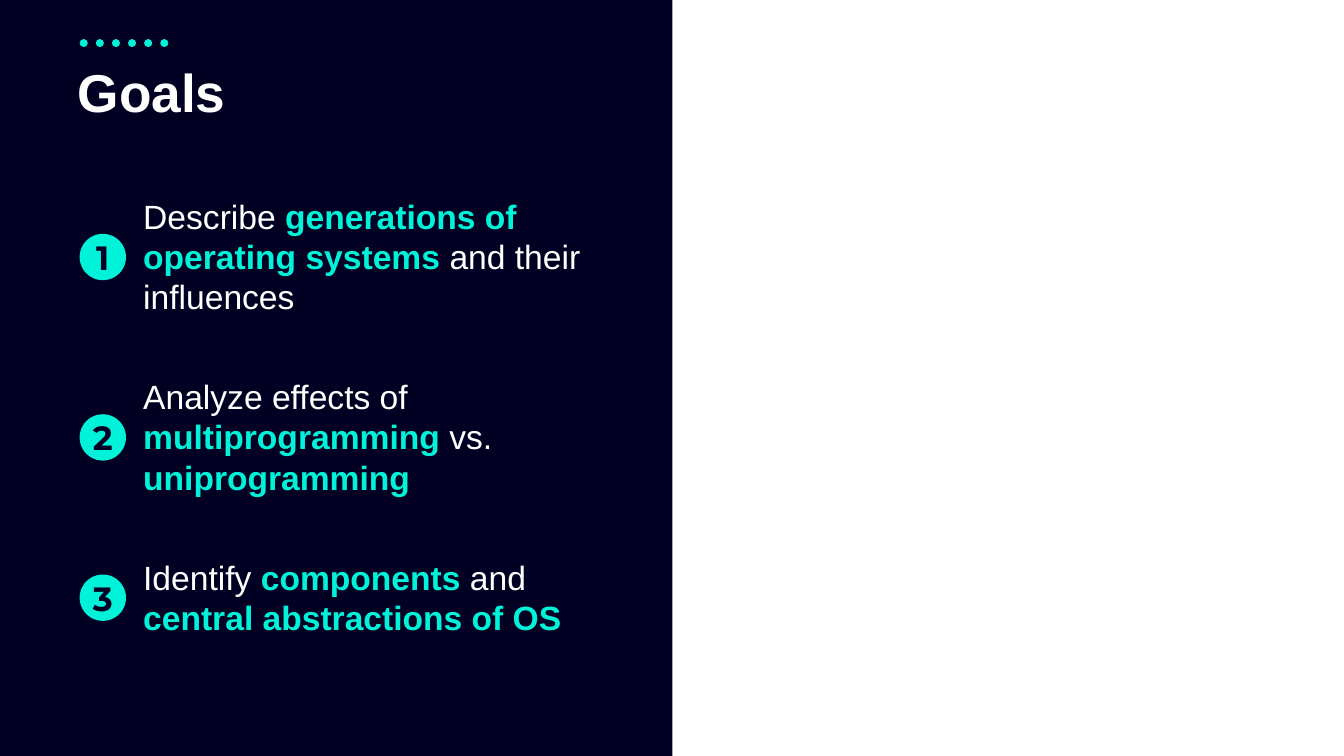
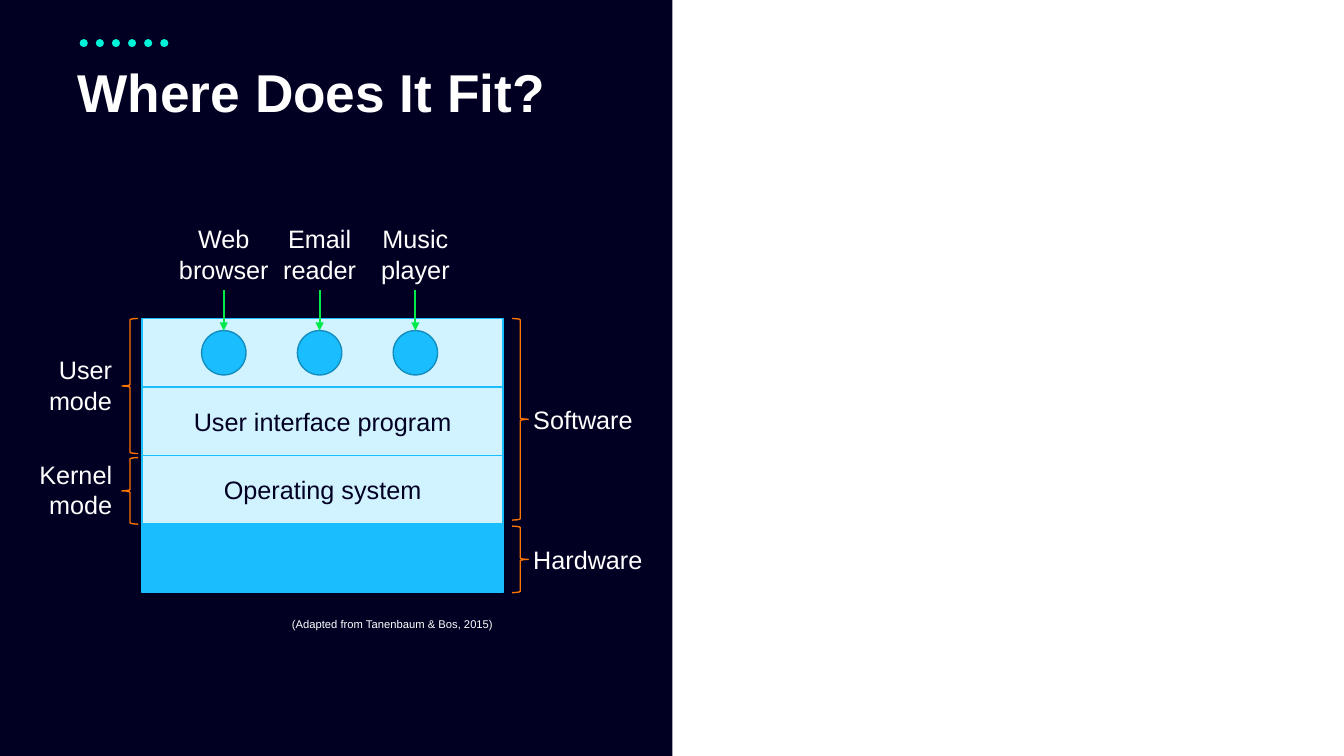
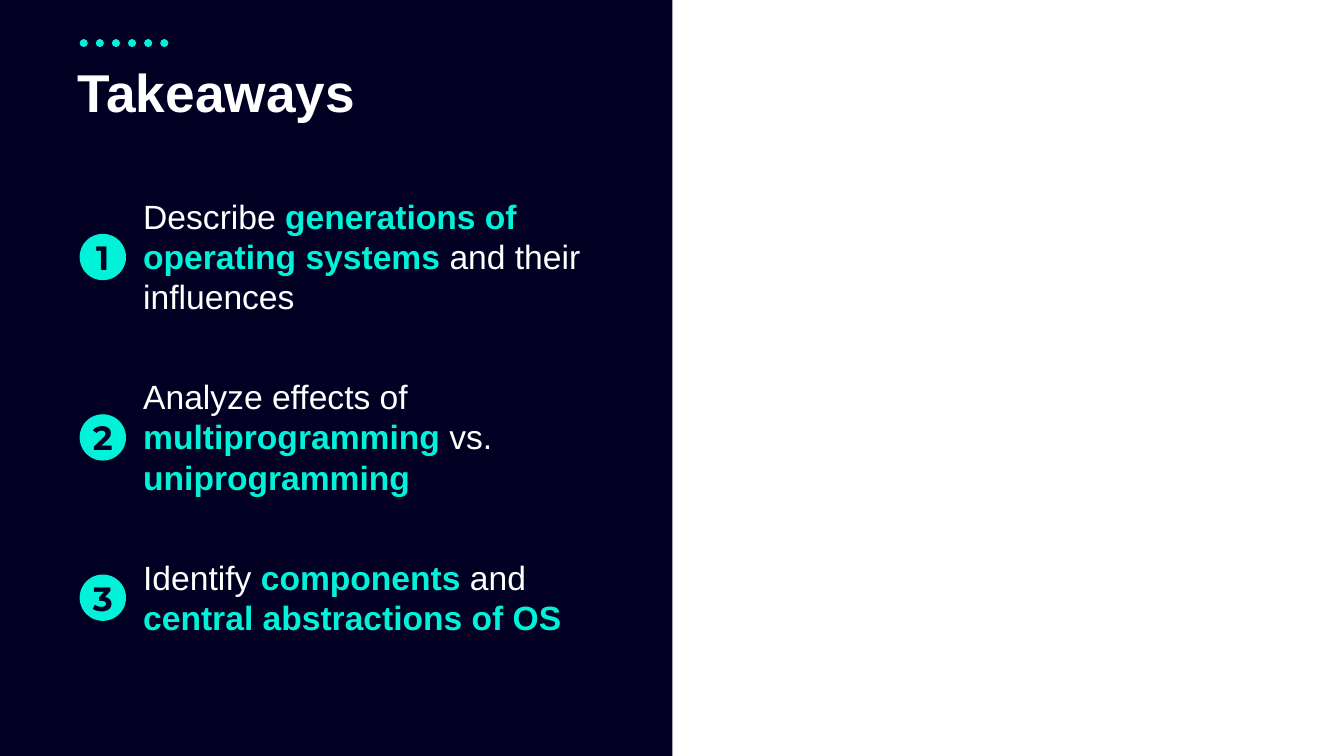
import pptx
import pptx.util
from pptx.dml.color import RGBColor
from pptx.enum.dml import MSO_LINE
from pptx.enum.shapes import MSO_CONNECTOR, MSO_SHAPE
from pptx.enum.text import MSO_ANCHOR, MSO_AUTO_SIZE, PP_ALIGN
from pptx.oxml.ns import qn
from pptx.oxml.xmlchemy import OxmlElement

EMU_PER_PX = 9144  # 100 px to the inch
COMPARISON_LAYOUT, TITLE_ONLY_LAYOUT = 4, 5

COLOURS = {
    "navy": "010022",
    "mint": "00F3D8",
    "white": "FFFFFF",
    "pale": "D1F2FF",
    "sky": "1ABEFF",
    "sea": "138DBD",
    "orange": "FF7300",
    "green": "00EB4B",
}

# Each goal: its number of lines, then plain and highlighted text in turn.
GOALS = [
    (3, ("Describe ", "generations of\noperating systems ", "and their influences")),
    (3, ("Analyze effects of \n", "multiprogramming", " vs. ", "uniprogramming")),
    (2, ("Identify ", "components", " and ", "central abstractions of OS")),
]


def px(length):
    return pptx.util.Emu(length * EMU_PER_PX)


def colour(name):
    return RGBColor.from_string(COLOURS[name])


def put_text(shape, text, size=18, ink="white", font="Arial", bold=False,
             align=PP_ALIGN.LEFT, anchor=MSO_ANCHOR.TOP, wrap=True,
             grow=True, spacing=1.0):
    """Fill a shape with one paragraph; odd items of a tuple are highlighted."""
    frame = shape.text_frame
    frame.word_wrap = wrap
    frame.auto_size = MSO_AUTO_SIZE.SHAPE_TO_FIT_TEXT if grow else MSO_AUTO_SIZE.NONE
    frame.vertical_anchor = anchor
    para = frame.paragraphs[0]
    properties = para._p.get_or_add_pPr()
    properties.set("marL", "0")
    properties.set("indent", "0")
    properties.append(OxmlElement("a:buNone"))
    para.alignment = align
    para.line_spacing = spacing
    para.space_before = pptx.util.Pt(0)
    spans = (text,) if isinstance(text, str) else text
    for index, span in enumerate(spans):
        highlighted = index % 2 == 1
        for line_number, line in enumerate(span.split("\n")):
            if line_number:
                para.add_line_break()
            if not line:
                continue
            run = para.add_run()
            run.text = line
            run.font.size = pptx.util.Pt(size)
            run.font.name = font
            run.font.bold = bold or highlighted
            run.font.color.rgb = colour("mint" if highlighted else ink)


class SlideWriter:
    """Holds the deck, its shared style and the page being written."""

    def __init__(self):
        self.deck = pptx.Presentation()
        self.deck.slide_width, self.deck.slide_height = px(1333), px(750)
        self.page = None

    def start_page(self, title, layout):
        first = self.page is None
        self.page = self.deck.slides.add_slide(self.deck.slide_layouts[layout])
        if first:
            self.decorate_master()
        heading = self.page.shapes.title
        self.place(heading, 67, 61, 533, 68)
        put_text(heading, title, size=38, bold=True, spacing=0.9,
                 anchor=MSO_ANCHOR.MIDDLE)

    def decorate_master(self):
        """Put the dark panel and the dotted line behind every page."""
        panel = self.shape(MSO_SHAPE.RECTANGLE, 0, 0, 667, 750, fill="navy")
        dots = self.line(83, 43, 167, 43, "mint", 5.75)
        dots.line.dash_style = MSO_LINE.ROUND_DOT
        dots.element.spPr.find(qn("a:ln")).set("cap", "rnd")
        tree = self.deck.slide_master.shapes.element
        for position, part in enumerate((panel, dots), start=2):
            tree.insert(position, part.element)

    def place(self, shape, left, top, width, height):
        shape.left, shape.top = px(left), px(top)
        shape.width, shape.height = px(width), px(height)

    def shape(self, kind, left, top, width, height, fill=None, outline=None):
        shape = self.page.shapes.add_shape(
            kind, px(left), px(top), px(width), px(height))
        shape.shadow.inherit = False
        if fill:
            shape.fill.solid()
            shape.fill.fore_color.rgb = colour(fill)
        else:
            shape.fill.background()
        if outline:
            shape.line.color.rgb = colour(outline)
            shape.line.width = pptx.util.Pt(1)
        else:
            shape.line.fill.background()
        return shape

    def line(self, left, top, right, bottom, ink, width):
        line = self.page.shapes.add_connector(
            MSO_CONNECTOR.STRAIGHT, px(left), px(top), px(right), px(bottom))
        line.line.color.rgb = colour(ink)
        line.line.width = pptx.util.Pt(width)
        line.element.spPr.append(OxmlElement("a:effectLst"))
        return line

    def arrow_down(self, source, target):
        """Join the bottom of source to the top of target."""
        arrow = self.line(0, 0, 0, 0, "green", 1.5)
        arrow.begin_connect(source, 2)
        arrow.end_connect(target, 0)
        head = OxmlElement("a:tailEnd")
        head.set("type", "triangle")
        arrow.element.spPr.find(qn("a:ln")).append(head)

    def label(self, left, top, width, height, text, **text_format):
        box = self.page.shapes.add_textbox(
            px(left), px(top), px(width), px(height))
        put_text(box, text, **text_format)
        return box

    def layer(self, top, height, text, fill):
        block = self.shape(MSO_SHAPE.RECTANGLE, 141, top, 358, height, fill, "sky")
        if text:
            put_text(block, text, ink="navy", align=PP_ALIGN.CENTER,
                     anchor=MSO_ANCHOR.MIDDLE, grow=False)

    def brace(self, on_left, top, height, text, width, text_height):
        """Draw a brace beside the layers, its label centred at the tip."""
        label_top = top + (height - text_height) // 2
        if on_left:
            self.shape(MSO_SHAPE.LEFT_BRACE, 121, top, 16, height, outline="orange")
            self.label(121 - width, label_top, width, text_height, text,
                       align=PP_ALIGN.RIGHT)
        else:
            self.shape(MSO_SHAPE.RIGHT_BRACE, 508, top, 16, height, outline="orange")
            self.label(519, label_top, width, text_height, text)

    def badge(self, number, middle):
        size = 46
        disc = self.shape(MSO_SHAPE.OVAL, 79, middle - size // 2, size, size, "mint")
        put_text(disc, str(number), size=24, ink="navy", font="Montserrat",
                 bold=True, align=PP_ALIGN.CENTER, anchor=MSO_ANCHOR.MIDDLE,
                 wrap=False, grow=False)

    def goals_page(self, title):
        self.start_page(title, COMPARISON_LAYOUT)
        bodies = list(self.page.placeholders)[1:]
        top = 189
        for number, (body, (lines, text)) in enumerate(zip(bodies, GOALS), start=1):
            height = 12 + 40 * lines
            self.place(body, 132, top, 501, height)
            put_text(body, text, size=24)
            self.badge(number, top + height // 2)
            top += height + 47
        for unused in bodies[len(GOALS):]:
            unused.element.getparent().remove(unused.element)

    def layers_page(self):
        self.start_page("Where Does It Fit?", TITLE_ONLY_LAYOUT)
        self.label(275, 608, 224, 24, "(Adapted from Tanenbaum & Bos, 2015)",
                   size=8, align=PP_ALIGN.RIGHT, wrap=False)

        stack_top, layer_height = 316, 68
        layers = [("", "pale"), ("User interface program", "pale"),
                  ("Operating system", "pale"), ("", "sky")]
        for index, (text, fill) in enumerate(layers):
            self.layer(stack_top + index * layer_height, layer_height, text, fill)

        for on_left, top, height, text, width, text_height in [
            (True, 316, 134, "User mode", 86, 71),
            (True, 454, 66, "Kernel mode", 99, 71),
            (False, 316, 200, "Software", 125, 40),
            (False, 522, 66, "Hardware", 150, 40),
        ]:
            self.brace(on_left, top, height, text, width, text_height)

        size = 44
        for index, name in enumerate(["Web browser", "Email reader", "Music player"]):
            centre = 222 + 95 * index
            program = self.shape(
                MSO_SHAPE.OVAL, centre - size // 2,
                stack_top + (layer_height - size) // 2, size, size, "sky", "sea")
            caption = self.label(centre - 55, 217, 110, 71, name,
                                 align=PP_ALIGN.CENTER)
            self.arrow_down(caption, program)


def main():
    writer = SlideWriter()
    writer.goals_page("Goals")
    writer.layers_page()
    writer.goals_page("Takeaways")
    writer.deck.save("out.pptx")


if __name__ == "__main__":
    main()
